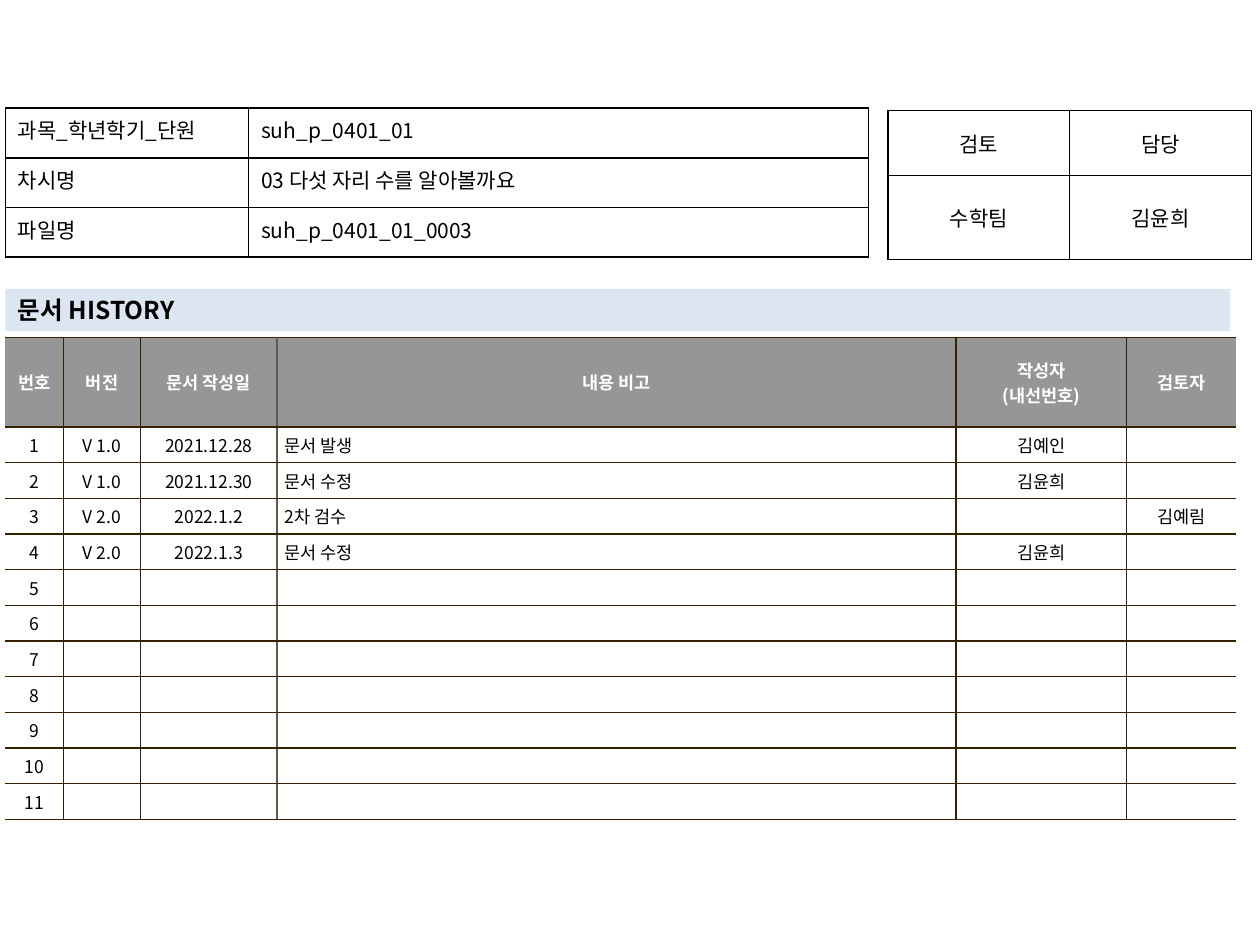
from lxml.etree import SubElement
from pptx import Presentation
from pptx.dml.color import RGBColor
from pptx.enum.text import MSO_ANCHOR, MSO_AUTO_SIZE, PP_ALIGN
from pptx.oxml.ns import qn
from pptx.util import Pt

FONT = "Noto Sans CJK KR"
BROWN, TAUPE, BLACK, WHITE = "362000", "645B4C", "000000", "FFFFFF"
CENTER, LEFT, JUSTIFY = PP_ALIGN.CENTER, PP_ALIGN.LEFT, PP_ALIGN.JUSTIFY
INFO = [
    ["과목_학년학기_단원 ", "suh_p_0401_01"],
    ["차시명", "03 다섯 자리 수를 알아볼까요"],
    ["파일명", "suh_p_0401_01_0003"],
]
REVIEW = [["검토", "담당"], ["수학팀", "김윤희"]]
HEADER = ["번호", "버전", "문서 작성일", "내용 비고", "작성자\n(내선번호)", "검토자"]
ENTRIES = [
    ["V 1.0", "2021.12.28", "문서 발생", "김예인", ""],
    ["V 1.0", "2021.12.30", "문서 수정", "김윤희", ""],
    ["V 2.0", "2022.1.2", "2차 검수", "", "김예림"],
    ["V 2.0", "2022.1.3", "문서 수정", "김윤희", ""],
]
ENTRY_COUNT = 11


def rgb(value):
    """Turn a hex string into a colour."""
    return RGBColor.from_string(value)


def write(tf, text, size, color=BLACK, bold=False, align=LEFT):
    """Fill a text frame with one formatted paragraph per line."""
    for i, line in enumerate(text.split("\n")):
        p = tf.paragraphs[0] if i == 0 else tf.add_paragraph()
        p.alignment = align
        if not line:
            SubElement(p._p, qn("a:endParaRPr"), sz=str(size * 100))
            continue
        r = p.add_run()
        r.text = line
        for name, value in {"name": FONT, "size": Pt(size), "bold": bold}.items():
            setattr(r.font, name, value)
        r.font.color.rgb = rgb(color)
        SubElement(r._r.get_or_add_rPr(), qn("a:ea"), typeface=FONT)


def set_borders(cell, colors):
    """Draw the left, right, top and bottom cell edges; None hides one."""
    tcPr = cell._tc.get_or_add_tcPr()
    for side, color in zip("LRTB", colors):
        ln = SubElement(tcPr, qn(f"a:ln{side}"), w=str(Pt(1)))
        if color is None:
            SubElement(ln, qn("a:noFill"))
        else:
            SubElement(SubElement(ln, qn("a:solidFill")), qn("a:srgbClr"), val=color)


def add_grid(s, left, top, widths, heights):
    """Add an unbanded table with the given column widths and row heights."""
    frame = s.shapes.add_table(len(heights), len(widths), Pt(left), Pt(top),
                               Pt(sum(widths)), Pt(sum(heights)))
    table = frame.table
    table.first_row = table.horz_banding = False
    for col, width in zip(table.columns, widths):
        col.width = Pt(width)
    for row, height in zip(table.rows, heights):
        row.height = Pt(height)
    return table


def add_form(s, left, top, widths, heights, rows, aligns, anchor):
    """Add a black-ruled form table."""
    table = add_grid(s, left, top, widths, heights)
    for i, row in enumerate(rows):
        for j, text in enumerate(row):
            cell = table.cell(i, j)
            set_borders(cell, [BLACK] * 4)
            cell.fill.background()
            cell.vertical_anchor = anchor
            write(cell.text_frame, text, 12, align=aligns[j])


def add_heading(s, left, top, width, height):
    """Turn the title placeholder into the section band."""
    sp = s.shapes.title
    box = {"left": left, "top": top, "width": width, "height": height}
    for name, value in box.items():
        setattr(sp, name, Pt(value))
    sp.fill.solid()
    sp.fill.fore_color.rgb = rgb("DCE6F2")
    tf = sp.text_frame
    tf.auto_size = MSO_AUTO_SIZE.NONE
    tf.vertical_anchor = MSO_ANCHOR.MIDDLE
    write(tf, "문서 HISTORY", 14, bold=True)


def add_history(s, left, top, widths, header_height, row_height):
    """Add the version history table with its numbered rows."""
    rows = [HEADER]
    for i in range(ENTRY_COUNT):
        entry = ENTRIES[i] if i < len(ENTRIES) else [""] * 5
        rows.append([str(i + 1)] + entry)
    table = add_grid(s, left, top, widths, [header_height] + [row_height] * ENTRY_COUNT)
    edges = [None, BROWN, BROWN, TAUPE, BROWN, BROWN, None]
    margins = {"margin_left": 4.5, "margin_right": 4.5, "margin_top": 3, "margin_bottom": 3}
    for i, row in enumerate(rows):
        head = i == 0
        for j, text in enumerate(row):
            cell = table.cell(i, j)
            set_borders(cell, [edges[j], edges[j + 1], BROWN, BROWN])
            cell.fill.solid()
            cell.fill.fore_color.rgb = rgb("969696" if head else WHITE)
            cell.vertical_anchor = MSO_ANCHOR.MIDDLE
            for name, value in margins.items():
                setattr(cell, name, Pt(value))
            write(cell.text_frame, text, 10, WHITE if head else BLACK, head,
                  LEFT if j == 3 and not head else CENTER)


def main():
    """Build the document history slide."""
    prs = Presentation()
    prs.slide_width, prs.slide_height = Pt(720), Pt(540)
    s = prs.slides.add_slide(prs.slide_layouts[5])
    add_history(s, 3, 192.8, [33.2, 44.2, 77.8, 388, 97.7, 62.5], 51.2, 17.8)
    add_form(s, 507.5, 63.2, [103.8] * 2, [37.2, 47.8], REVIEW, [CENTER] * 2,
             MSO_ANCHOR.MIDDLE)
    add_heading(s, 3, 165, 700, 24.2)
    add_form(s, 3, 61.8, [139, 354.2], [28.4] * 3, INFO, [JUSTIFY, LEFT],
             MSO_ANCHOR.TOP)
    prs.save("out.pptx")


if __name__ == "__main__":
    main()
